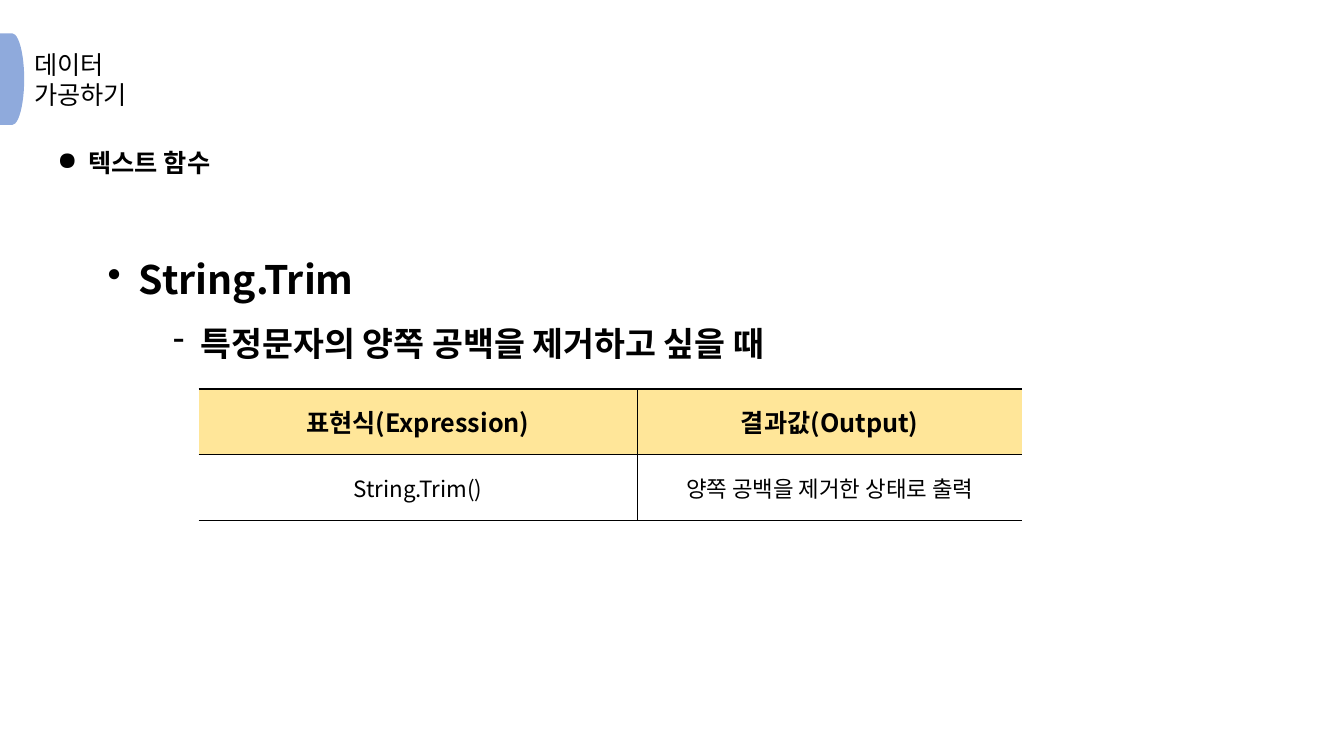
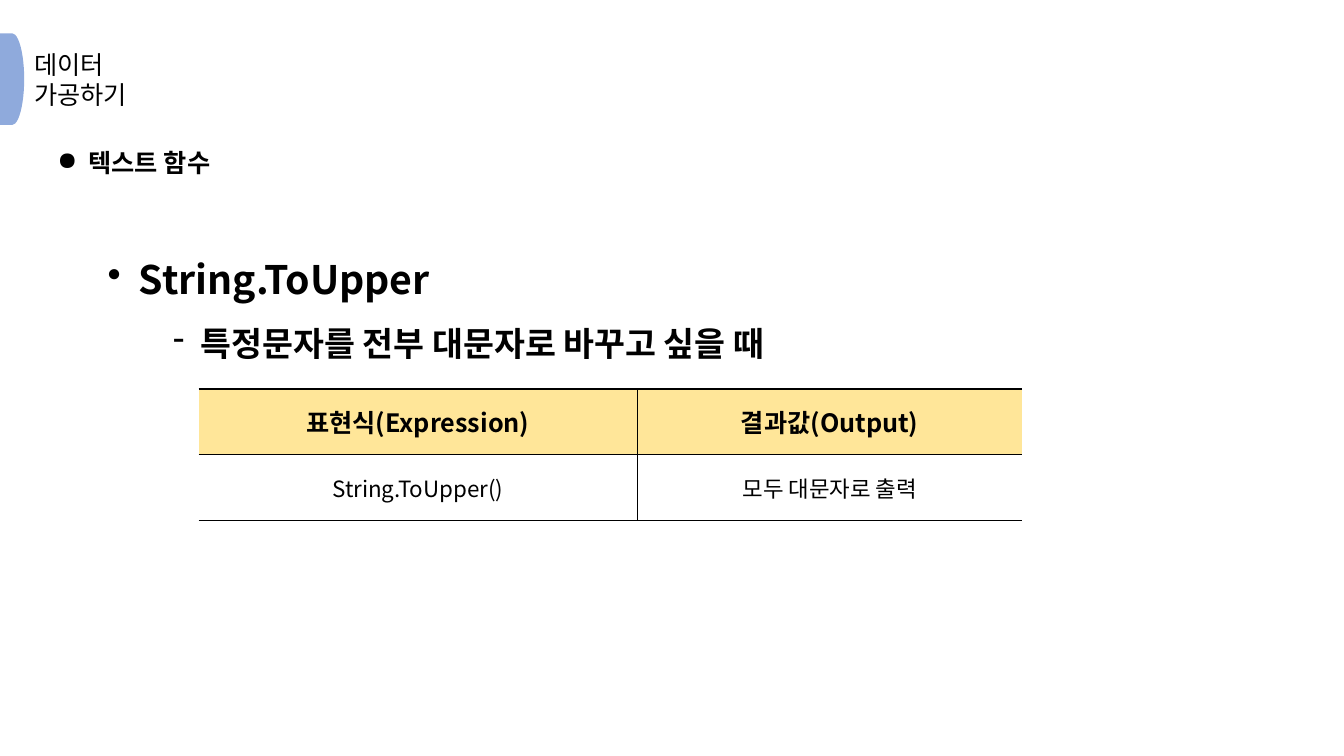
import dataclasses

import pptx
import pptx.dml.color
import pptx.enum.shapes
import pptx.enum.text
import pptx.oxml.ns
import pptx.util
from lxml import etree

Inches = pptx.util.Inches
Pt = pptx.util.Pt
qn = pptx.oxml.ns.qn
ALIGN = pptx.enum.text.PP_ALIGN
ANCHOR = pptx.enum.text.MSO_ANCHOR

HEADER_LINES = ["데이터", "가공하기"]
TOPIC = "텍스트 함수"
TABLE_HEADINGS = ["표현식(Expression)", "결과값(Output)"]
FUNCTIONS = [
    {
        "name": "String.Trim",
        "purpose": "특정문자의 양쪽 공백을 제거하고 싶을 때",
        "example": ["String.Trim()", "양쪽 공백을 제거한 상태로 출력"],
    },
    {
        "name": "String.ToUpper",
        "purpose": "특정문자를 전부 대문자로 바꾸고 싶을 때",
        "example": ["String.ToUpper()", "모두 대문자로 출력"],
    },
]

COLUMN_WIDTHS = [4.35, 3.82]
ROW_HEIGHT = 0.65


@dataclasses.dataclass(frozen=True)
class Theme:
    font: str = "Noto Sans CJK KR"
    ink: str = "000000"
    paper: str = "FFFFFF"
    tab: str = "8FAADC"
    heading_fill: str = "FFE699"
    base_size: int = 18
    name_size: int = 28
    purpose_size: int = 24
    cell_size: int = 16
    rule_width: int = 1


THEME = Theme()


def rgb(value):
    return pptx.dml.color.RGBColor.from_string(value)


def write(para, text, size=THEME.base_size, bold=False, align=ALIGN.LEFT,
          line_spacing=1.0, space_before=0, bullet=None, margin=0, hanging=0):
    """Fill a paragraph; margin and hanging are the bullet's indents in inches."""
    para.alignment = align
    para.line_spacing = line_spacing
    para.space_before = Pt(space_before)
    span = para.add_run()
    span.text = text
    span.font.size = Pt(size)
    span.font.bold = bold
    span.font.name = THEME.font
    span.font.color.rgb = rgb(THEME.ink)
    east_asian = etree.SubElement(span.font._element, qn("a:ea"))
    east_asian.set("typeface", THEME.font)
    if bullet:
        properties = para._p.get_or_add_pPr()
        properties.set("marL", str(Inches(margin)))
        properties.set("indent", str(-Inches(hanging)))
        etree.SubElement(properties, qn("a:buChar")).set("char", bullet)


def set_borders(cell, visible):
    """Draw the edges named in visible (letters from LRTB) and clear the rest."""
    properties = cell._tc.get_or_add_tcPr()
    for position, edge in enumerate("LRTB"):
        line = etree.Element(qn("a:ln" + edge))
        if edge in visible:
            line.set("w", str(Pt(THEME.rule_width)))
            fill = etree.SubElement(line, qn("a:solidFill"))
            etree.SubElement(fill, qn("a:srgbClr")).set("val", THEME.ink)
        else:
            etree.SubElement(line, qn("a:noFill"))
        properties.insert(position, line)


def add_header(page):
    tab = page.shapes.add_shape(
        pptx.enum.shapes.MSO_SHAPE.FLOWCHART_DELAY,
        Inches(0), Inches(0.33), Inches(0.24), Inches(0.91))
    tab.shadow.inherit = False
    tab.fill.solid()
    tab.fill.fore_color.rgb = rgb(THEME.tab)
    tab.line.fill.background()

    title = page.shapes.title
    title.left, title.top = Inches(0.24), Inches(0.43)
    title.width, title.height = Inches(1.3), Inches(0.71)
    frame = title.text_frame
    frame.auto_size = pptx.enum.text.MSO_AUTO_SIZE.NONE
    frame.vertical_anchor = ANCHOR.MIDDLE
    for index, text in enumerate(HEADER_LINES):
        write(frame.add_paragraph() if index else frame.paragraphs[0], text)


def add_outline(page, name, purpose):
    box = page.shapes.add_textbox(
        Inches(0.47), Inches(1.26), Inches(8.5), Inches(2.34))
    frame = box.text_frame
    frame.word_wrap = True
    shared = {"bold": True, "line_spacing": 1.5}
    write(frame.paragraphs[0], TOPIC, bullet="●",
          margin=0.31, hanging=0.31, **shared)
    write(frame.add_paragraph(), name, size=THEME.name_size, bullet="•",
          margin=0.81, hanging=0.31, space_before=39, **shared)
    write(frame.add_paragraph(), purpose, size=THEME.purpose_size, bullet="-",
          margin=1.42, hanging=0.27, **shared)


def add_example_table(page, example):
    rows = [TABLE_HEADINGS, example]
    table = page.shapes.add_table(
        len(rows), len(COLUMN_WIDTHS), Inches(1.97), Inches(3.86),
        Inches(sum(COLUMN_WIDTHS)), Inches(ROW_HEIGHT * len(rows))).table
    table.horz_banding = False
    for column, width in zip(table.columns, COLUMN_WIDTHS):
        column.width = Inches(width)
    for row_index, texts in enumerate(rows):
        table.rows[row_index].height = Inches(ROW_HEIGHT)
        heading = row_index == 0
        for column_index, text in enumerate(texts):
            cell = table.cell(row_index, column_index)
            cell.vertical_anchor = ANCHOR.MIDDLE
            cell.fill.solid()
            cell.fill.fore_color.rgb = rgb(
                THEME.heading_fill if heading else THEME.paper)
            set_borders(cell, "TBL" if column_index else "TBR")
            write(cell.text_frame.paragraphs[0], text, bold=heading,
                  size=THEME.base_size if heading else THEME.cell_size,
                  align=ALIGN.CENTER)


def main():
    deck = pptx.Presentation()
    deck.slide_width, deck.slide_height = Inches(13.33), Inches(7.5)
    title_only = deck.slide_layouts[5]
    for function in FUNCTIONS:
        page = deck.slides.add_slide(title_only)
        add_header(page)
        add_outline(page, function["name"], function["purpose"])
        add_example_table(page, function["example"])
    deck.save("out.pptx")


if __name__ == "__main__":
    main()
